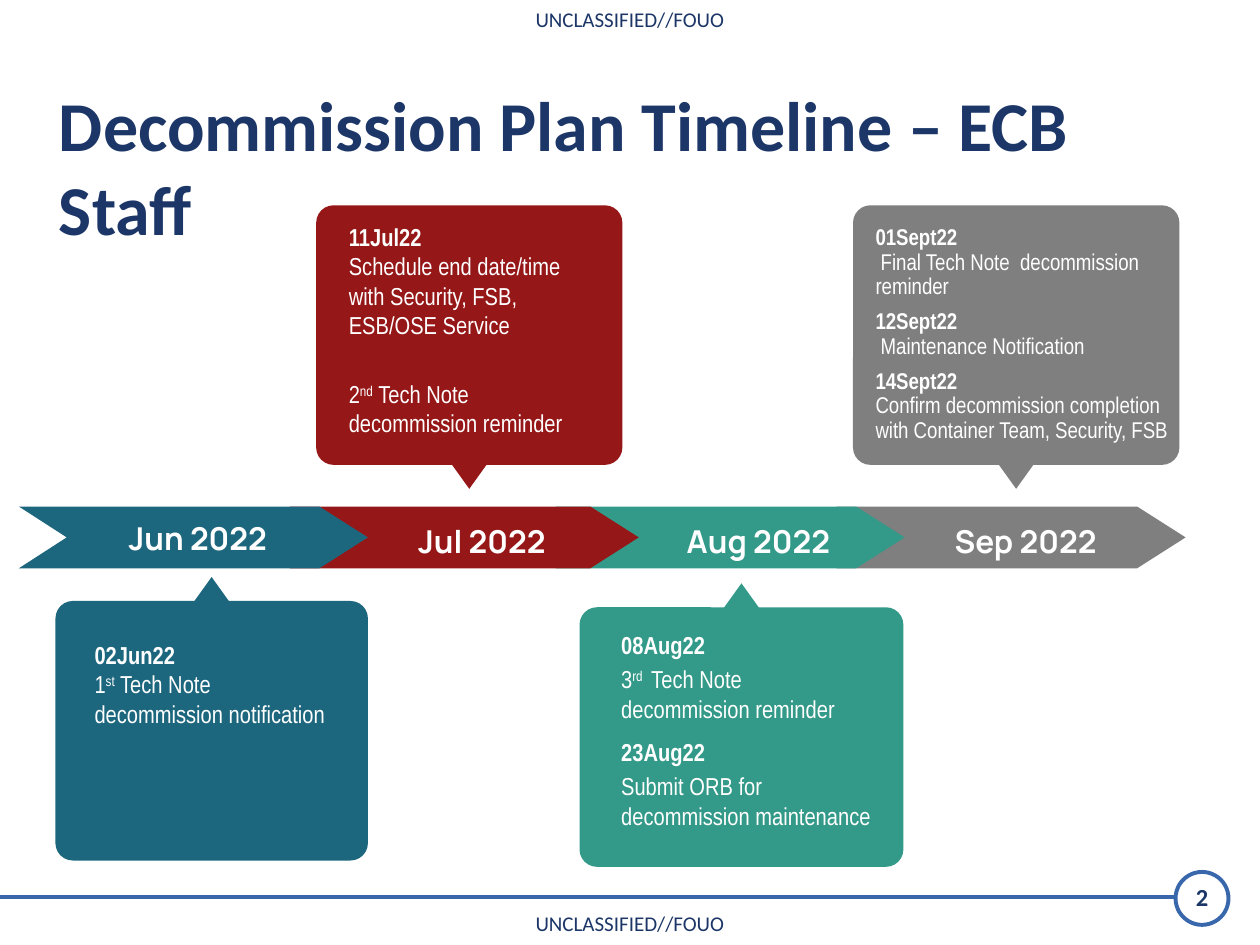
from lxml.etree import SubElement
from pptx import Presentation
from pptx.dml.color import RGBColor
from pptx.enum.shapes import MSO_CONNECTOR, MSO_SHAPE
from pptx.enum.text import MSO_ANCHOR, PP_ALIGN
from pptx.oxml.ns import qn
from pptx.util import Inches, Pt

COLORS = {
    "navy": "1C3667", "rule": "3867AB", "white": "FFFFFF",
    "jun": "1D677E", "jul": "961717", "aug": "339988", "sep": "7F7F7F",
}


def add_text(paragraph, text, font="Arial Narrow", size=14, color="white",
             bold=False, superscript=False):
    for index, line in enumerate(text.split("\n")):
        if index:
            paragraph.add_line_break()
        if not line:
            continue
        run = paragraph.add_run()
        run.text = line
        run.font.name = font
        run.font.size = Pt(size)
        run.font.bold = bold
        run.font.color.rgb = RGBColor.from_string(COLORS[color])
        if superscript:
            run._r.get_or_add_rPr().set("baseline", "30000")


class TimelineSlide:
    """Draws styled elements on one slide."""

    def __init__(self, presentation):
        self.slide = presentation.slides.add_slide(presentation.slide_layouts[6])
        self.shapes = self.slide.shapes

    def paint(self, shape, color):
        shape.shadow.inherit = False
        shape.fill.solid()
        shape.fill.fore_color.rgb = RGBColor.from_string(COLORS[color])
        shape.line.fill.background()

    def outline(self, shape):
        shape.line.color.rgb = RGBColor.from_string(COLORS["rule"])
        shape.line.width = Pt(2.25)

    def rule(self, left, right, y):
        line = self.shapes.add_connector(
            MSO_CONNECTOR.STRAIGHT, Inches(left), Inches(y), Inches(right), Inches(y))
        self.outline(line)
        SubElement(line._element.spPr, qn("a:effectLst"))

    def ring(self, left, top, size):
        ring = self.shapes.add_shape(
            MSO_SHAPE.OVAL, Inches(left), Inches(top), Inches(size), Inches(size))
        ring.shadow.inherit = False
        ring.fill.background()
        self.outline(ring)

    def polygon(self, points, color):
        points = [(Inches(x), Inches(y)) for x, y in points]
        builder = self.shapes.build_freeform(*points[0])
        builder.add_line_segments(points[1:], close=True)
        self.paint(builder.convert_to_shape(), color)

    def month_arrow(self, left, color, notched):
        top, middle, bottom = 4.02, 4.265, 4.51
        shoulder, tip = left + 2.385, left + 2.77
        points = [(shoulder, top), (left, top), (left, bottom),
                  (shoulder, bottom), (tip, middle)]
        if notched:
            points.insert(2, (left + 0.38, middle))
        self.polygon(points, color)

    def callout(self, left, top, width, color, points_up):
        height = 2.06
        box = self.shapes.add_shape(
            MSO_SHAPE.ROUNDED_RECTANGLE, Inches(left), Inches(top),
            Inches(width), Inches(height))
        box.adjustments[0] = 0.067
        self.paint(box, color)
        center = left + width / 2
        base, tip = (top + 0.04, top - 0.19) if points_up else (
            top + height - 0.04, top + height + 0.19)
        self.polygon([(center, tip), (center + 0.165, base), (center - 0.165, base)], color)

    def text_box(self, box, paragraphs, align=PP_ALIGN.LEFT, anchor=MSO_ANCHOR.TOP,
                 insets=(0.1, 0.05, 0.1, 0.05), line_spacing=None, **style):
        frame = self.shapes.add_textbox(*map(Inches, box)).text_frame
        frame.word_wrap = True
        frame.vertical_anchor = anchor
        (frame.margin_left, frame.margin_top,
         frame.margin_right, frame.margin_bottom) = map(Inches, insets)
        for index, (space_before, runs) in enumerate(paragraphs):
            paragraph = frame.paragraphs[0] if index == 0 else frame.add_paragraph()
            paragraph.alignment = align
            paragraph.space_before = Pt(space_before)
            if line_spacing:
                paragraph.line_spacing = Pt(line_spacing)
            for text, run_style in runs:
                add_text(paragraph, text, **{**style, **run_style})

    def label(self, box, text, **style):
        self.text_box(box, [(0, [(text, {})])], align=PP_ALIGN.CENTER, **style)


BOLD, RAISED, PLAIN = {"bold": True}, {"superscript": True}, {}
MONTHS = [
    ("jun", 0.15, "Jun 2022", (0.63, 4.07, 1.88, 0.4)),
    ("jul", 2.3, "Jul 2022", (2.95, 4.09, 1.75, 0.4)),
    ("aug", 4.41, "Aug 2022", (5.05, 4.09, 1.94, 0.4)),
    ("sep", 6.64, "Sep 2022", (7.2, 4.09, 1.88, 0.4)),
]
CALLOUTS = [
    ("jul", (2.51, 1.63, 2.43), False),
    ("sep", (6.77, 1.63, 2.59), False),
    ("jun", (0.44, 4.77, 2.48), True),
    ("aug", (4.6, 4.82, 2.57), True),
]
NARROW, INDENTED = (0.04, 0.02, 0.04, 0.02), (0.1, 0.02, 0.04, 0.02)
NOTES = [
    ((2.67, 1.74, 2.1, 1.78), {"insets": INDENTED}, [
        (2.8, [("11Jul22\n", BOLD),
               ("Schedule end date/time with Security, FSB, ESB/OSE Service", PLAIN)]),
        (22.5, [("2", PLAIN), ("nd", RAISED), (" Tech Note decommission reminder", PLAIN)]),
    ]),
    ((6.85, 1.77, 2.51, 1.78), {"insets": INDENTED, "size": 13, "line_spacing": 14}, [
        (2.6, [("01Sept22\n", BOLD), (" Final Tech Note  decommission reminder", PLAIN)]),
        (6, [("12Sept22\n", BOLD), (" Maintenance Notification", PLAIN)]),
        (6, [("14Sept22\n", BOLD),
             ("Confirm decommission completion with Container Team, Security, FSB", PLAIN)]),
    ]),
    ((0.71, 5.06, 1.92, 0.74), {"insets": NARROW}, [
        (2.8, [("02Jun22\n", BOLD), ("1", PLAIN), ("st", RAISED),
               (" Tech Note\ndecommission notification", PLAIN)]),
    ]),
    ((4.77, 4.95, 2.41, 2.08), {"insets": (0.16, 0.05, 0.1, 0.05)}, [
        (2.8, [("08Aug22", BOLD)]),
        (2.8, [("3", PLAIN), ("rd ", RAISED),
               (" Tech Note\ndecommission reminder", PLAIN)]),
        (8, [("23Aug22", BOLD)]),
        (2.8, [("Submit ORB for decommission maintenance", PLAIN)]),
    ]),
]

presentation = Presentation()
presentation.slide_width, presentation.slide_height = Inches(10), Inches(7.5)
timeline = TimelineSlide(presentation)
heading = {"font": "Calibri", "color": "navy"}

for marking_top in (0, 7.18):
    timeline.label((0, marking_top, 10, 0.3), "UNCLASSIFIED//FOUO", size=12, **heading)
timeline.rule(0, 9.33, 7.12)
timeline.ring(9.33, 6.92, 0.42)
timeline.text_box((0.37, 0.6, 9.26, 0.83),
                  [(8, [("Decommission Plan Timeline – ECB Staff", BOLD)])],
                  size=40, **heading)
timeline.label((9.18, 6.95, 0.72, 0.33), "2", size=14, bold=True,
               anchor=MSO_ANCHOR.MIDDLE, **heading)

for color, left, _, _ in reversed(MONTHS):
    timeline.month_arrow(left, color, notched=color == "jun")
for _, _, name, box in MONTHS:
    timeline.label(box, name, font="Manrope", size=18, bold=True, anchor=MSO_ANCHOR.MIDDLE)
for color, place, points_up in CALLOUTS:
    timeline.callout(*place, color, points_up)
for box, style, paragraphs in NOTES:
    timeline.text_box(box, paragraphs, **style)

presentation.save("out.pptx")
